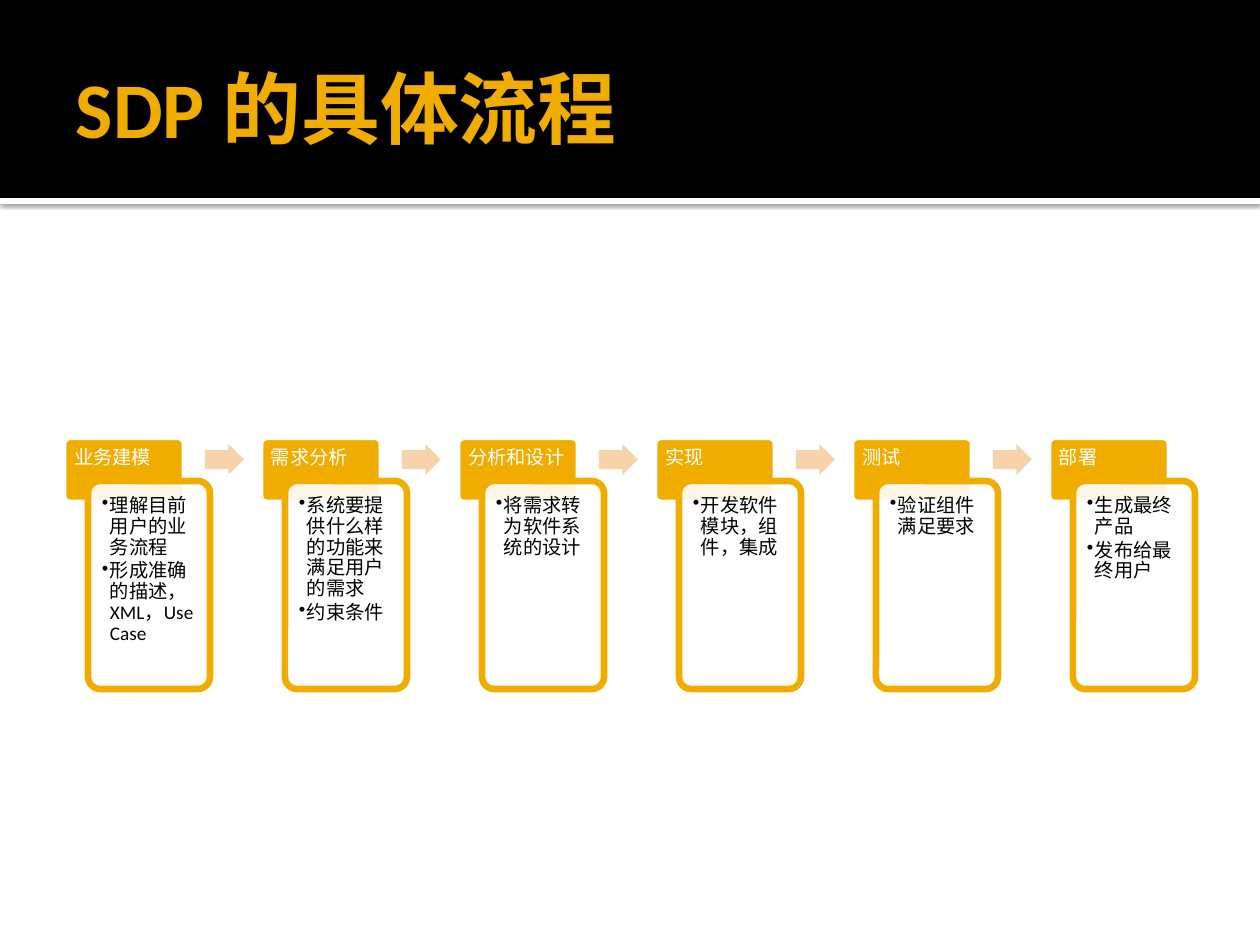
from lxml import etree
from pptx import Presentation
from pptx.dml.color import RGBColor
from pptx.enum.shapes import MSO_SHAPE as Shape
from pptx.enum.text import MSO_ANCHOR as Anchor
from pptx.oxml.ns import qn
from pptx.util import Pt

SCALE = 914400 / 126
GOLD = RGBColor(0xF0, 0xAD, 0x00)
PEACH = RGBColor(0xF6, 0xD3, 0xAB)
BLACK = RGBColor(0, 0, 0)
WHITE = RGBColor(255, 255, 255)

LEFT, TOP, PITCH = 63, 437, 197
STEPS = [
    ("业务建模", ["理解目前用户的业务流程", "形成准确的描述，XML，Use Case"]),
    ("需求分析", ["系统要提供什么样的功能来满足用户的需求", "约束条件"]),
    ("分析和设计", ["将需求转为软件系统的设计"]),
    ("实现", ["开发软件模块，组件，集成"]),
    ("测试", ["验证组件满足要求"]),
    ("部署", ["生成最终产品", "发布给最终用户"]),
]


def emu(px):
    return round(px * SCALE)


def sub(node, tag, **attrs):
    return etree.SubElement(node, qn(tag), attrs)


class Deck:
    font = "Calibri"
    border = Pt(3.78)

    def __init__(self):
        self.prs = Presentation()
        self.prs.slide_width, self.prs.slide_height = emu(1260), emu(945)
        self.slide = self.prs.slides.add_slide(self.prs.slide_layouts[6])

    def shape(self, kind, box, fill, line=None, adj=(), alpha=None):
        item = self.slide.shapes.add_shape(kind, *map(emu, box))
        item.shadow.inherit = False
        item.fill.solid()
        item.fill.fore_color.rgb = fill
        if alpha:
            color = item.fill._xPr.find(".//" + qn("a:srgbClr"))
            sub(color, "a:alpha", val=str(alpha * 1000))
        if line is None:
            item.line.fill.background()
        else:
            item.line.color.rgb = line
            item.line.width = self.border
        for i, value in enumerate(adj):
            item.adjustments[i] = value
        return item

    def shade(self, item):
        """Cast a soft shadow straight down."""
        effects = item._element.spPr.find(qn("a:effectLst"))
        outer = sub(effects, "a:outerShdw", blurRad=str(Pt(2.5)),
                    dist=str(Pt(0.8)), dir="5400000", algn="t", rotWithShape="0")
        color = sub(outer, "a:srgbClr", val=str(BLACK))
        sub(color, "a:alpha", val="60000")

    def text(self, box, lines, pads, size, color, bold=False,
             anchor=Anchor.TOP, bullet=False, **form):
        frame = self.slide.shapes.add_textbox(*map(emu, box)).text_frame
        frame.word_wrap = True
        frame.vertical_anchor = anchor
        for side, pad in zip(("left", "top", "right", "bottom"), pads):
            setattr(frame, "margin_" + side, emu(pad))
        for i, line in enumerate(lines):
            para = frame.add_paragraph() if i else frame.paragraphs[0]
            if bullet:
                self.bullet(para)
            for name, value in form.items():
                setattr(para, name, value)
            run = para.add_run()
            run.text = line
            style = {"name": self.font, "size": Pt(size), "bold": bold}
            for name, value in style.items():
                setattr(run.font, name, value)
            run.font.color.rgb = color

    def bullet(self, para):
        props = para._p.get_or_add_pPr()
        props.set("marL", str(emu(8)))
        props.set("indent", str(-emu(8)))
        sub(props, "a:buChar", char="•")

    def step(self, x, name, tasks):
        self.shape(Shape.ROUNDED_RECTANGLE, (x, TOP, 122, 66), GOLD, WHITE, [0.1])
        self.text((x, TOP, 122, 44), [name], (11, 11, 11, 6), 11, WHITE,
                  line_spacing=0.9)
        self.shape(Shape.ROUNDED_RECTANGLE, (x + 25, TOP + 44, 122, 208), WHITE,
                   GOLD, [0.1], alpha=90)
        self.text((x + 28, TOP + 48, 116, 200), tasks, (11, 11, 11, 11), 11, BLACK,
                  bullet=True, level=1, line_spacing=0.9, space_after=Pt(1.65))

    def arrow(self, x):
        self.shape(Shape.RIGHT_ARROW, (x, TOP + 7, 39, 31), PEACH, adj=[0.6, 0.5])


def main():
    deck = Deck()
    deck.shade(deck.shape(Shape.RECTANGLE, (0, 198, 1260, 6), WHITE))
    deck.shape(Shape.RECTANGLE, (0, 0, 1260, 198), BLACK)
    deck.text((63, 21, 1134, 173), ["SDP 的具体流程"], (13, 6, 6, 6), 45, GOLD,
              bold=True, anchor=Anchor.MIDDLE)
    for i, (name, tasks) in enumerate(STEPS):
        x = LEFT + i * PITCH
        if i:
            deck.arrow(x - PITCH + 142)
        deck.step(x, name, tasks)
    deck.prs.save("out.pptx")


if __name__ == "__main__":
    main()
